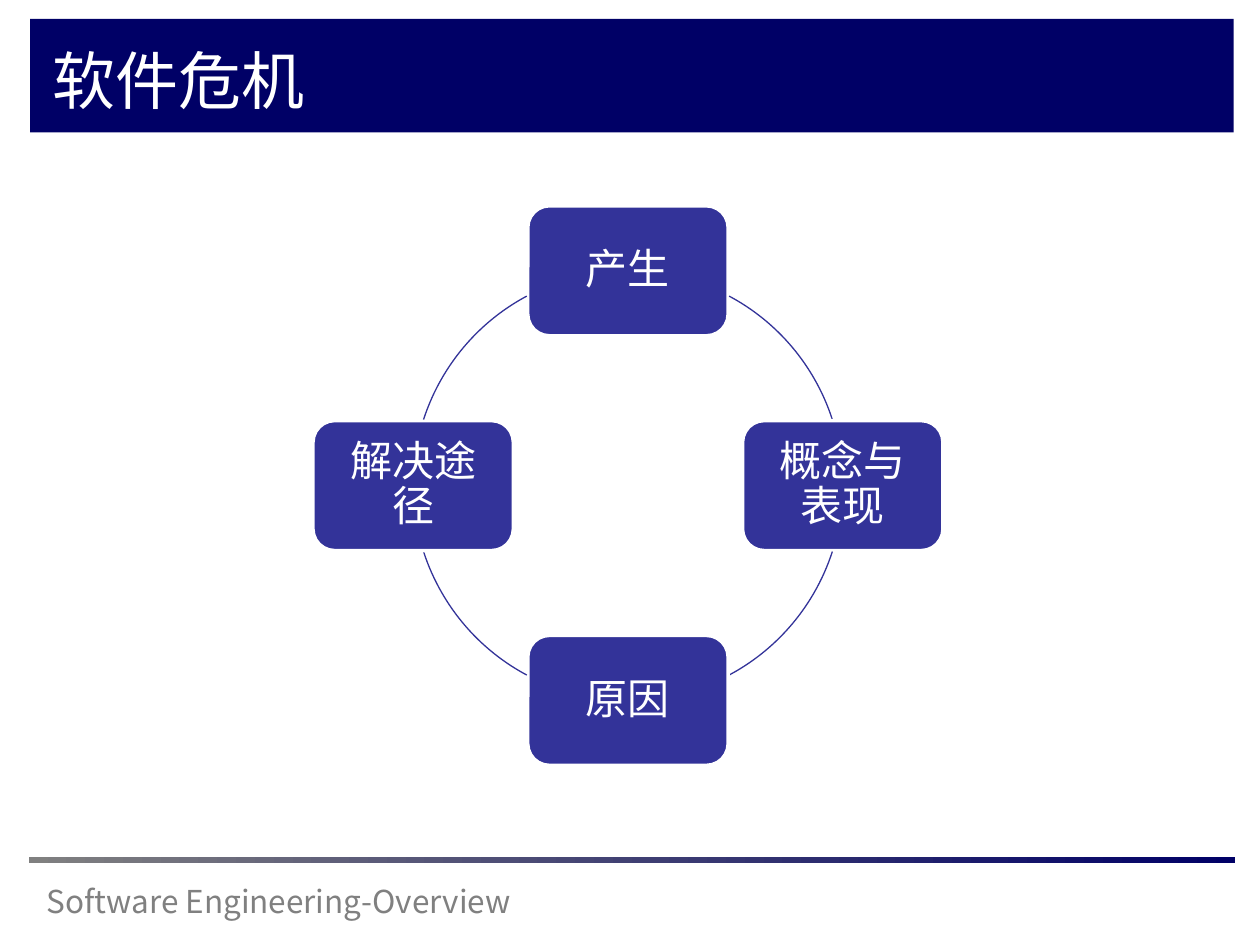
from lxml import etree
from pptx import Presentation
from pptx import util as u
from pptx.dml.color import RGBColor
from pptx.enum import shapes, text
from pptx.oxml.ns import qn

FONT = "Noto Sans CJK SC"
COLORS = {"navy": "000066", "node": "333399", "gray": "808080", "white": "FFFFFF"}

# Ring geometry in centimetres
MID_X, MID_Y, RADIUS = 12.66, 9.79, 4.33
NODE_W, NODE_H = 4.04, 2.62
STEPS = [("产生", 0, -1), ("概念与表现", 1, 0), ("原因", 0, 1), ("解决途径", -1, 0)]
ARCS = [(298.1, 342.1), (17.9, 61.9), (118.1, 162.1), (197.9, 241.9)]


def color(key):
    return RGBColor.from_string(COLORS[key])


def place(left, top, width, height):
    return [u.Cm(n) for n in (left, top, width, height)]


def write(frame, words, size, key, align=text.PP_ALIGN.LEFT):
    frame.word_wrap = True
    frame.vertical_anchor = text.MSO_ANCHOR.MIDDLE
    frame.text = words
    para = frame.paragraphs[0]
    para.alignment = align
    font = para.font
    font.name, font.size = FONT, u.Pt(size)
    font.color.rgb = color(key)
    # East Asian glyphs take their own typeface element
    latin = font._element.find(qn("a:latin"))
    east = etree.Element(qn("a:ea"), typeface=FONT)
    latin.addnext(east)
    return para


def add_bar(slide, box, key):
    bar = slide.shapes.add_shape(shapes.MSO_SHAPE.RECTANGLE, *place(*box))
    bar.shadow.inherit = False
    bar.line.fill.background()
    bar.fill.solid()
    bar.fill.fore_color.rgb = color(key)
    return bar


def add_title(slide, words):
    title = slide.shapes.title
    title.left, title.top, title.width, title.height = place(0.81, 0.66, 22.38, 1.88)
    write(title.text_frame, words, 36, "white")
    # Bring the title in front of its banner
    slide.shapes._spTree.append(title._element)


def add_rule(slide):
    rule = add_bar(slide, (0.58, 17.27, 24.31, 0.13), "navy")
    rule.fill.gradient()
    rule.fill.gradient_angle = 0
    for stop, key, pos in zip(rule.fill.gradient_stops, ("gray", "navy"), (0, 1)):
        stop.color.rgb = color(key)
        stop.position = pos


def add_footer(slide, words):
    box = slide.shapes.add_textbox(*place(0.69, 17.65, 13.13, 1.02))
    write(box.text_frame, words, 18, "gray")


def add_arc(slide, start, end):
    arc = slide.shapes.add_shape(
        shapes.MSO_SHAPE.ARC,
        *place(MID_X - RADIUS, MID_Y - RADIUS, 2 * RADIUS, 2 * RADIUS))
    arc.shadow.inherit = False
    arc.fill.background()
    arc.line.color.rgb = color("node")
    arc.line.width = u.Pt(0.75)
    # One degree is 60000 units, and adjustments count in 100000 units
    for i, angle in enumerate((start, end)):
        arc.adjustments[i] = angle * 0.6


def add_node(slide, words, col, row):
    left = MID_X + col * RADIUS - NODE_W / 2
    top = MID_Y + row * RADIUS - NODE_H / 2
    node = slide.shapes.add_shape(
        shapes.MSO_SHAPE.ROUNDED_RECTANGLE, *place(left, top, NODE_W, NODE_H))
    node.shadow.inherit = False
    node.fill.solid()
    node.fill.fore_color.rgb = color("node")
    node.line.color.rgb = color("white")
    node.line.width = u.Pt(2)
    frame = node.text_frame
    frame.margin_left = frame.margin_right = u.Cm(0.38)
    frame.margin_top = frame.margin_bottom = u.Cm(0.38)
    para = write(frame, words, 24, "white", text.PP_ALIGN.CENTER)
    para.line_spacing = 0.9


def main():
    deck = Presentation()
    deck.slide_width, deck.slide_height = u.Cm(25.4), u.Cm(19.05)
    slide = deck.slides.add_slide(deck.slide_layouts[5])

    # Banner and footer
    add_bar(slide, (0.61, 0.38, 24.26, 2.29), "navy")
    add_title(slide, "软件危机")
    add_rule(slide)
    add_footer(slide, "Software Engineering-Overview")

    # Cycle of four topics
    for (words, col, row), (start, end) in zip(STEPS, ARCS):
        add_node(slide, words, col, row)
        add_arc(slide, start, end)

    deck.save("out.pptx")


if __name__ == "__main__":
    main()
